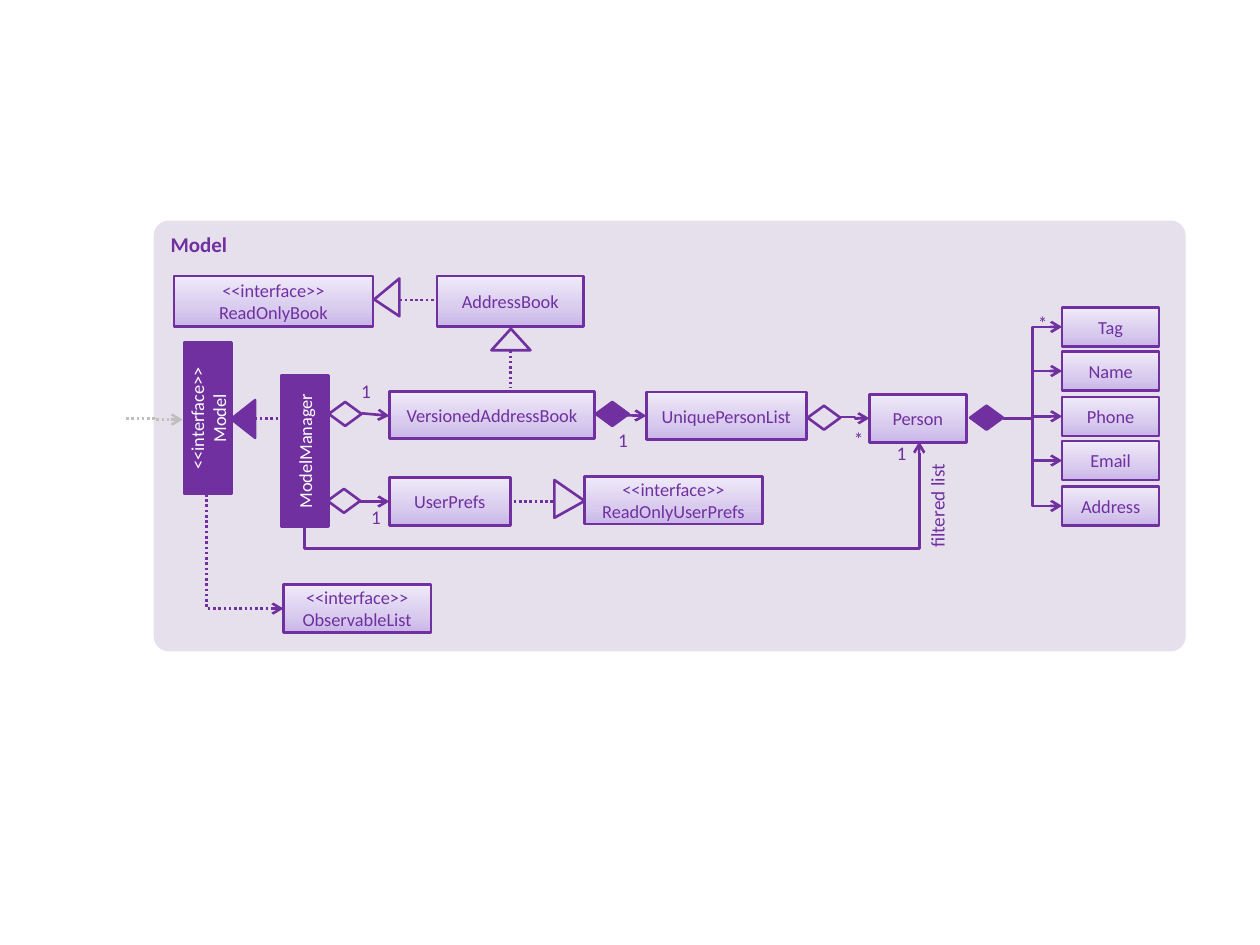
"""Build the class diagram of the Model component."""
import copy

import pptx
import pptx.dml.color
import pptx.enum.dml
import pptx.enum.shapes
import pptx.enum.text
import pptx.oxml
import pptx.oxml.ns
import pptx.util

Inches = pptx.util.Inches
Kind = pptx.enum.shapes.MSO_SHAPE
Link = pptx.enum.shapes.MSO_CONNECTOR
Align = pptx.enum.text.PP_ALIGN
Anchor = pptx.enum.text.MSO_ANCHOR
tag = pptx.oxml.ns.qn

HUES = {"main": "7030A0", "pale": "E6E0EC", "white": "FFFFFF", "grey": "BFBFBF",
        "low": "C9B5E8", "mid": "D8CBEE", "high": "F0EAF9"}
SHADE = [("low", 0), ("mid", 0.35), ("high", 1)]


def hue(name):
    return pptx.dml.color.RGBColor.from_string(HUES[name])


def apply(item, values):
    for key, value in values.items():
        setattr(item, key, value)


def write(shape, text, size=10.5, color="main", bold=False, align=Align.CENTER, **frame):
    body = shape.text_frame
    apply(body, {"word_wrap": True, "text": text, **frame})
    for para in body.paragraphs:
        para.alignment = align
        for run in para.runs:
            apply(run.font, {"name": "Calibri", "size": pptx.util.Pt(size), "bold": bold})
            run.font.color.rgb = hue(color)


def shade(fill, shape):
    fill.gradient()
    fill.gradient_angle = 90
    stops = shape._element.spPr.find(".//" + tag("a:gsLst"))
    stops.append(copy.deepcopy(stops[-1]))
    for stop, (name, place) in zip(fill.gradient_stops, SHADE):
        stop.color.rgb = hue(name)
        stop.position = place


def form(slide, kind, place, fill=None, turn=0, adjust=None, edge=True):
    shape = slide.shapes.add_shape(kind, *map(Inches, place))
    shape.shadow.inherit = False
    shape.rotation = turn
    if adjust is not None:
        shape.adjustments[0] = adjust
    if fill == "shade":
        shade(shape.fill, shape)
    elif fill:
        shape.fill.solid()
        shape.fill.fore_color.rgb = hue(fill)
    else:
        shape.fill.background()
    if edge:
        shape.line.color.rgb = hue("main")
        shape.line.width = pptx.util.Pt(1.5)
    else:
        shape.line.fill.background()
    return shape


def box(slide, text, *place):
    shape = form(slide, Kind.RECTANGLE, place, "shade")
    write(shape, text, vertical_anchor=Anchor.MIDDLE)


def pillar(slide, text, *place):
    shape = form(slide, Kind.RECTANGLE, place, "main", 270)
    write(shape, text, color="white", vertical_anchor=Anchor.MIDDLE)


def label(slide, text, place, turn=0, inset=0, align=Align.CENTER):
    shape = slide.shapes.add_textbox(*map(Inches, place))
    shape.rotation = turn
    sides = {} if inset is None else dict.fromkeys(
        ("margin_left", "margin_top", "margin_right", "margin_bottom"), Inches(inset))
    write(shape, text, 11, align=align, **sides)


def line(slide, start, end, kind=Link.STRAIGHT, color="main", dots=False, arrow=True):
    link = slide.shapes.add_connector(kind, *map(Inches, (*start, *end)))
    apply(link.line, {"width": pptx.util.Pt(1.5)})
    link.line.color.rgb = hue(color)
    if dots:
        link.line.dash_style = pptx.enum.dml.MSO_LINE.ROUND_DOT
    props = link._element.spPr
    if arrow:
        head = pptx.oxml.parse_xml(
            f'<a:tailEnd {pptx.oxml.ns.nsdecls("a")} type="arrow"/>')
        props.find(tag("a:ln")).append(head)
    props.append(pptx.oxml.parse_xml(f'<a:effectLst {pptx.oxml.ns.nsdecls("a")}/>'))
    return link


def bend(link, shape, turn, adjust=None):
    props = link._element.spPr
    props.find(tag("a:xfrm")).set("rot", str(turn * 60000))
    geom = props.find(tag("a:prstGeom"))
    geom.set("prst", shape)
    for old in list(geom):
        geom.remove(old)
    guide = "" if adjust is None else f'<a:gd name="adj1" fmla="val {adjust}"/>'
    geom.append(pptx.oxml.parse_xml(
        f'<a:avLst {pptx.oxml.ns.nsdecls("a")}>{guide}</a:avLst>'))


def boxes(slide):
    pillar(slide, "ModelManager", 1.82, 3.39, 1.2, 0.38)
    pillar(slide, "<<interface>>\nModel", 1.05, 3.13, 1.2, 0.38)
    box(slide, "UserPrefs", 3.09, 3.79, 0.96, 0.38)
    box(slide, "VersionedAddressBook", 3.09, 3.11, 1.63, 0.37)
    box(slide, "UniquePersonList", 5.13, 3.11, 1.27, 0.38)
    box(slide, "Person", 6.9, 3.13, 0.77, 0.38)
    box(slide, "<<interface>>\vReadOnlyBook", 1.38, 2.19, 1.58, 0.4)
    box(slide, "AddressBook", 3.47, 2.19, 1.16, 0.4)
    box(slide, "<<interface>>\vObservableList", 2.25, 4.64, 1.17, 0.38)
    box(slide, "<<interface>>\nReadOnlyUserPrefs", 4.64, 3.78, 1.41, 0.38)


def fields(slide):
    for row, name in enumerate(["Tag", "Name", "Phone", "Email", "Address"]):
        top = round(2.44 + row * 0.355, 2)
        box(slide, name, 8.43, top, 0.77, 0.31)
        line(slide, (7.96, 3.32), (8.43, top + 0.155), Link.ELBOW)


def lines(slide):
    for start, end in [((2.85, 3.98), (3.09, 3.98)), ((2.87, 3.28), (3.09, 3.3)),
                       ((4.73, 3.29), (5.13, 3.3))]:
        line(slide, start, end)
    line(slide, (6.67, 3.31), (6.9, 3.32), Link.ELBOW)
    line(slide, (1, 3.32), (1.45, 3.33), Link.ELBOW, "grey", True)
    for start, end in [((2.02, 3.32), (2.26, 3.32)), ((4.05, 2.78), (4.05, 3.08)),
                       ((3.17, 2.38), (3.47, 2.38)), ((4.39, 3.98), (4.05, 3.98))]:
        line(slide, start, end, dots=True, arrow=False)
    bend(line(slide, (5.19, 6.28), (4.52, 1.4), Link.ELBOW), "bentConnector3", 90, -26700)
    bend(line(slide, (2.4, 4.07), (1.49, 4.68), Link.ELBOW, dots=True), "bentConnector2", 270)


def marks(slide):
    for left, top, fill in [(2.6, 3.88, None), (2.61, 3.19, None), (4.73, 3.19, "main"),
                            (6.41, 3.22, None), (7.7, 3.22, "main")]:
        form(slide, Kind.FLOWCHART_DECISION, (left, top, 0.26, 0.19), fill)
    for place, fill, turn, peak in [((1.78, 3.23, 0.3, 0.19), "main", 270, 0.5),
                                    ((3.9, 2.61, 0.31, 0.17), "pale", 0, 0.5),
                                    ((2.92, 2.26, 0.3, 0.2), "pale", 270, 0.445),
                                    ((4.37, 3.84, 0.3, 0.24), "pale", 90, 0.555)]:
        form(slide, Kind.ISOSCELES_TRIANGLE, place, fill, turn, peak)


def labels(slide):
    for text, left, top in [("1", 4.84, 3.4), ("*", 6.71, 3.39), ("1", 2.8, 3.01),
                            ("1", 2.88, 4.01), ("1", 7.05, 3.5), ("*", 8.17, 2.47)]:
        label(slide, text, (left, top, 0.21, 0.2))
    label(slide, "filtered list", (6.96, 3.92, 0.96, 0.29), 270, None, Align.RIGHT)


def main():
    deck = pptx.Presentation()
    apply(deck, {"slide_width": Inches(10), "slide_height": Inches(7.5)})
    slide = deck.slides.add_slide(deck.slide_layouts[6])
    panel = form(slide, Kind.ROUNDED_RECTANGLE, (1.22, 1.75, 8.19, 3.42), "pale",
                 adjust=0.035, edge=False)
    write(panel, "Model", 12, bold=True, align=Align.LEFT, vertical_anchor=Anchor.TOP)
    for draw in (boxes, fields, lines, marks, labels):
        draw(slide)
    deck.save("out.pptx")


main()
